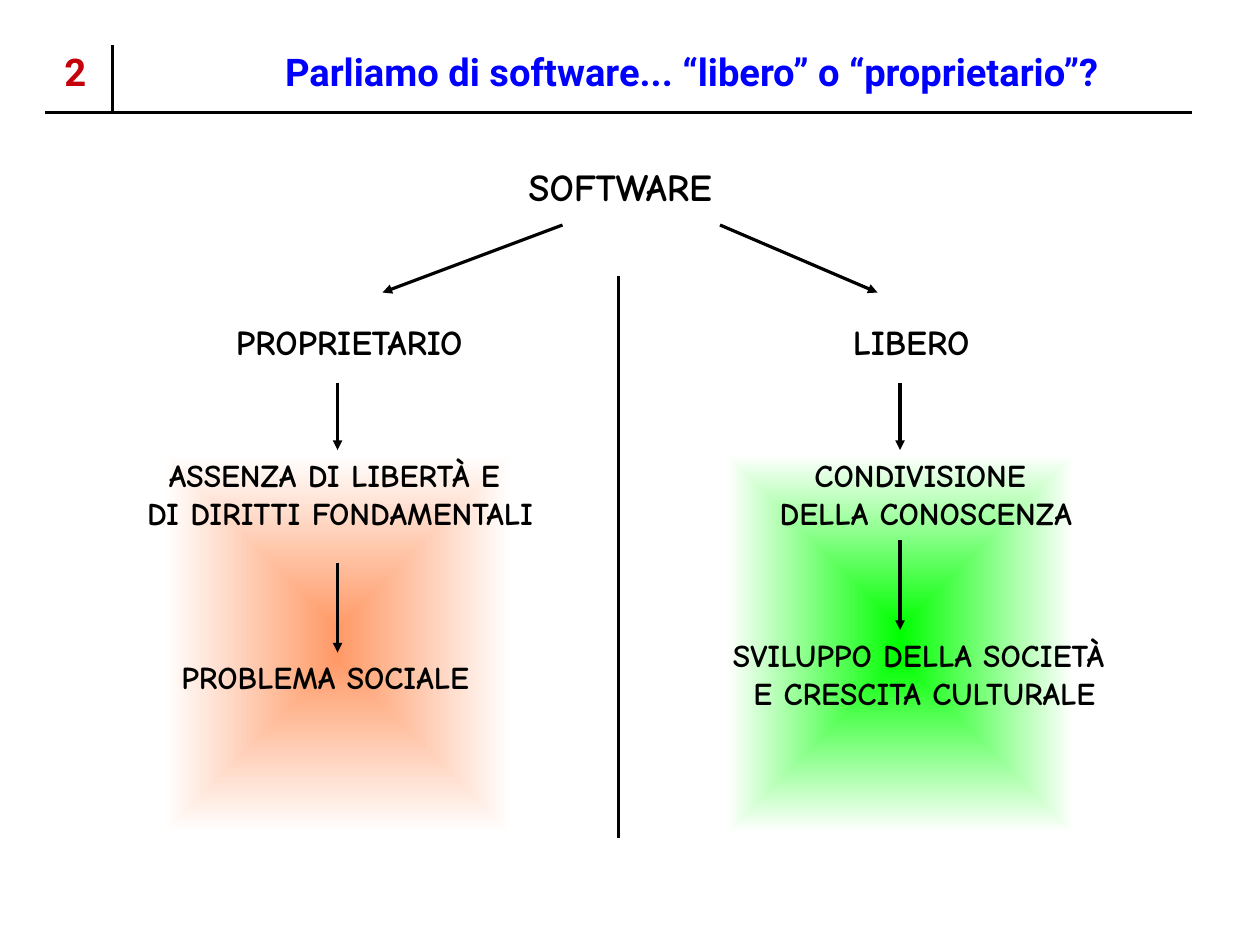
from dataclasses import dataclass
from lxml.etree import SubElement
from pptx import Presentation
from pptx.dml.color import RGBColor as Rgb
from pptx.enum.shapes import MSO_CONNECTOR as Link, MSO_SHAPE as Form
from pptx.enum.text import MSO_ANCHOR as Anchor, MSO_AUTO_SIZE as Fit, PP_ALIGN as Align
from pptx.oxml import parse_xml
from pptx.oxml.ns import nsdecls, qn
from pptx.slide import Slide
from pptx.text.text import TextFrame
from pptx.util import Cm, Pt


@dataclass(frozen=True)
class Theme:
    head: str = "Roboto"
    body: str = "Comic Neue"
    ink: str = "000000"
    white: str = "FFFFFF"
    red: str = "C5000B"
    blue: str = "0000FF"
    orange: str = "FF9966"
    green: str = "00FF00"
    big: int = 24
    mid: int = 22
    small: int = 20


@dataclass(frozen=True)
class Glow:
    left: float
    color: str


@dataclass(frozen=True)
class Label:
    left: float
    top: float
    width: float
    height: float
    size: int
    lines: tuple[str, ...]
    align: Align = Align.CENTER


@dataclass(frozen=True)
class Line:
    x1: float
    y1: float
    x2: float
    y2: float
    arrow: bool = False


T = Theme()

GLOWS = (Glow(14.5, T.green), Glow(2, T.orange))

LABELS = (
    Label(11.5, 3.5, 5.44, 1.42, T.big, ("SOFTWARE",), Align.LEFT),
    Label(18.5, 7, 3.5, 1.32, T.mid, ("LIBERO",)),
    Label(4.52, 7, 6.48, 1.32, T.mid, ("PROPRIETARIO",)),
    Label(2, 10, 11.12, 2.23, T.small,
          ("ASSENZA DI LIBERTÀ E ", "DI DIRITTI FONDAMENTALI")),
    Label(3.78, 14.5, 7.82, 1.25, T.small, ("PROBLEMA SOCIALE",), Align.LEFT),
    Label(16.5, 10, 8.15, 2.23, T.small,
          ("CONDIVISIONE ", "DELLA CONOSCENZA")),
    Label(15.26, 14, 10.57, 2.23, T.small,
          ("SVILUPPO DELLA SOCIETÀ ", "E CRESCITA CULTURALE")),
)

LINES = (
    # Header rules and centre divider
    Line(1, 2.5, 26.5, 2.5),
    Line(2.5, 2.5, 2.5, 1),
    Line(13.75, 6.13, 13.75, 18.63),
    # Branches
    Line(12.5, 5, 8.5, 6.5, True),
    Line(16, 5, 19.5, 6.5, True),
    # Steps down each column
    Line(7.5, 8.5, 7.5, 10, True),
    Line(7.5, 12.5, 7.5, 14.5, True),
    Line(20, 8.5, 20, 10, True),
    Line(20, 12, 20, 14, True),
)


def add_glow(slide: Slide, glow: Glow) -> None:
    box = slide.shapes.add_shape(Form.RECTANGLE, Cm(glow.left), Cm(6.5), Cm(11), Cm(12))
    box.shadow.inherit = False
    box.line.fill.background()
    box.fill.background()
    props = box.fill._xPr
    grad = parse_xml(
        f'<a:gradFill {nsdecls("a")}><a:gsLst>'
        f'<a:gs pos="0"><a:srgbClr val="{glow.color}"/></a:gs>'
        f'<a:gs pos="70000"><a:srgbClr val="{T.white}"/></a:gs></a:gsLst>'
        '<a:path path="rect"><a:fillToRect l="50000" t="65000" r="50000" b="35000"/>'
        '</a:path></a:gradFill>')
    props.replace(props.find(qn("a:noFill")), grad)


def write(frame: TextFrame, lines: tuple[str, ...], font: str, size: int,
          color: str, align: Align = Align.LEFT) -> None:
    frame.word_wrap = False
    frame.auto_size = Fit.NONE
    frame.vertical_anchor = Anchor.TOP
    for i, text in enumerate(lines):
        para = frame.add_paragraph() if i else frame.paragraphs[0]
        para.alignment = align
        run = para.add_run()
        run.text = text
        run.font.name, run.font.size, run.font.bold = font, Pt(size), True
        run.font.color.rgb = Rgb.from_string(color)


def add_label(slide: Slide, item: Label) -> None:
    box = slide.shapes.add_textbox(Cm(item.left), Cm(item.top), Cm(item.width), Cm(item.height))
    write(box.text_frame, item.lines, T.body, item.size, T.ink, item.align)


def add_line(slide: Slide, item: Line) -> None:
    link = slide.shapes.add_connector(
        Link.STRAIGHT, Cm(item.x1), Cm(item.y1), Cm(item.x2), Cm(item.y2))
    link.line.color.rgb = Rgb.from_string(T.ink)
    link.line.width = Pt(0)
    if item.arrow:
        SubElement(link.line._get_or_add_ln(), qn("a:tailEnd"), type="triangle")
    SubElement(link._element.spPr, qn("a:effectLst"))


def add_head(slide: Slide) -> None:
    title = slide.shapes.title
    title.left, title.top, title.width, title.height = Cm(6.08), Cm(0.95), Cm(20.42), Cm(1.4)
    write(title.text_frame, ("Parliamo di software... “libero” o “proprietario”?",),
          T.head, T.big, T.blue)
    num = slide.shapes.add_textbox(Cm(1.18), Cm(0.95), Cm(1.2), Cm(1.4))
    write(num.text_frame, ("2",), T.head, T.big, T.red)


def main() -> None:
    deck = Presentation()
    deck.slide_width, deck.slide_height = Cm(28), Cm(21)
    slide = deck.slides.add_slide(deck.slide_layouts[5])
    for glow in GLOWS:
        add_glow(slide, glow)
    add_head(slide)
    for label in LABELS:
        add_label(slide, label)
    for line in LINES:
        add_line(slide, line)
    deck.save("out.pptx")


if __name__ == "__main__":
    main()
